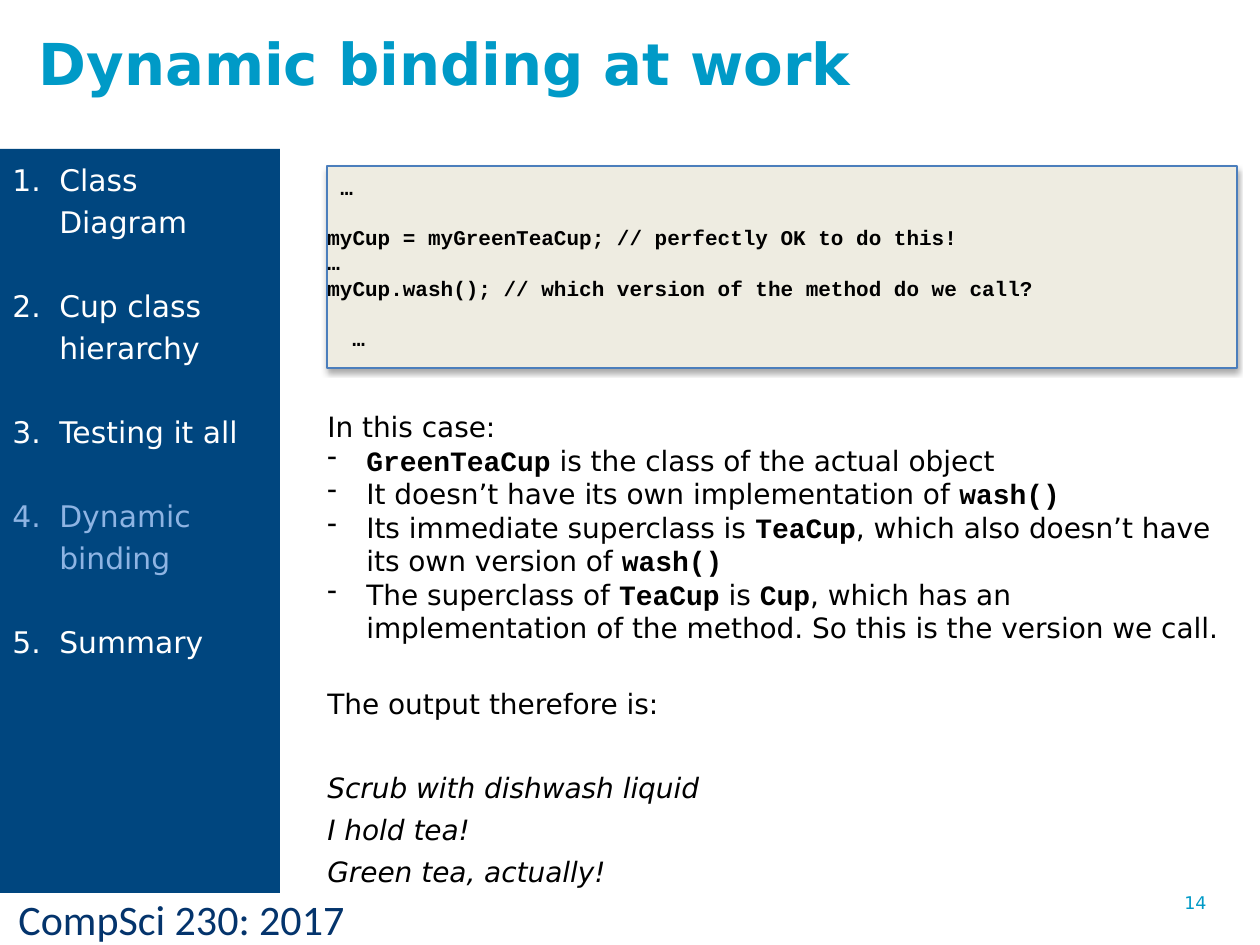
from lxml.etree import SubElement
from pptx import Presentation
from pptx.dml.color import RGBColor
from pptx.enum.shapes import MSO_SHAPE as Shape
from pptx.enum.text import MSO_ANCHOR as Anchor, PP_ALIGN as Align
from pptx.oxml.ns import qn
from pptx.util import Pt

PX = 914400 / 126
SANS, MONO = "DejaVu Sans", "Courier New"
CYAN, NAVY, BLUE, PALE_BLUE = "009AC7", "04346C", "00467F", "8EB4E3"
BLACK, WHITE, CREAM, EDGE = "000000", "FFFFFF", "EEECE1", "4B7EBC"

TOPICS = ["Class Diagram", "Cup class hierarchy", "Testing it all",
          "Dynamic binding", "Summary"]
CURRENT_TOPIC = "Dynamic binding"

# Each code line: text, blank lines above it, indent in characters
CODE = [("…", 0, 1),
        ("myCup = myGreenTeaCup; // perfectly OK to do this!", 1, 0),
        ("…", 0, 0),
        ("myCup.wash(); // which version of the method do we call?", 0, 0),
        ("…", 1, 2)]
# Backticks enclose code words
REASONS = ["`GreenTeaCup` is the class of the actual object",
           "It doesn’t have its own implementation of `wash()`",
           "Its immediate superclass is `TeaCup`, which also doesn’t have "
           "its own version of `wash()`",
           "The superclass of `TeaCup` is `Cup`, which has an implementation "
           "of the method. So this is the version we call."]
OUTPUT = ["Scrub with dishwash liquid", "I hold tea!", "Green tea, actually!"]


def px(*lengths):
    return [round(length * PX) for length in lengths]


def rgb(color):
    return RGBColor.from_string(color)


def set_font(font, size, color, name=SANS, bold=False, italic=False):
    font.size, font.name, font.bold, font.italic = Pt(size), name, bold, italic
    font.color.rgb = rgb(color)


def add_paragraph(frame, leading=None, gap=0):
    """Return the next left-aligned paragraph; leading and gap in points."""
    first = frame.paragraphs[0]
    paragraph = frame.add_paragraph() if first.runs else first
    paragraph.alignment = Align.LEFT
    paragraph.space_before = Pt(gap)
    if leading:
        paragraph.line_spacing = Pt(leading)
    return paragraph


def indent(paragraph, margin, bullet=None, **attributes):
    """Indent by margin px; a bullet hangs in that margin."""
    properties = paragraph._p.get_or_add_pPr()
    width = px(margin)[0]
    properties.set("marL", str(width))
    if bullet:
        properties.set("indent", str(-width))
        mark = SubElement(properties, qn(bullet))
        for key, value in attributes.items():
            mark.set(key, value)


def add_text_box(slide, box):
    frame = slide.shapes.add_textbox(*px(*box)).text_frame
    frame.word_wrap = True
    return frame


def add_panel(slide, box, fill, edge=None):
    panel = slide.shapes.add_shape(Shape.RECTANGLE, *px(*box))
    panel.shadow.inherit = False
    panel.fill.solid()
    panel.fill.fore_color.rgb = rgb(fill)
    if edge:
        panel.line.color.rgb = rgb(edge)
        panel.line.width = Pt(0.75)
    else:
        panel.line.fill.background()
    return panel


def add_label(slide, box, text, size, color, name=SANS):
    label = add_paragraph(add_text_box(slide, box))
    label.text = text
    set_font(label.font, size, color, name)


def add_title(slide, box, text):
    title = slide.shapes.title
    title.left, title.top, title.width, title.height = px(*box)
    frame = title.text_frame
    frame.vertical_anchor = Anchor.TOP
    frame.margin_top = px(10)[0]
    heading = add_paragraph(frame)
    heading.text = text
    set_font(heading.font, 33, CYAN, bold=True)


def add_code_panel(slide, box):
    panel = add_panel(slide, box, CREAM, EDGE)
    # Soft shadow straight below
    effects = panel._element.spPr.find(qn("a:effectLst"))
    shadow = SubElement(effects, qn("a:outerShdw"), blurRad=str(Pt(3.1)),
                        dist=str(Pt(1.8)), dir="5400000", rotWithShape="0")
    tint = SubElement(shadow, qn("a:srgbClr"), val=BLACK)
    SubElement(tint, qn("a:alpha"), val="35000")


def add_body(slide, box):
    frame = add_text_box(slide, box)
    # Code
    code_leading = 14.4
    for text, blanks, characters in CODE:
        line = add_paragraph(frame, code_leading, blanks * code_leading)
        line.text = text
        indent(line, round(characters * 12.6))
        set_font(line.font, 12, BLACK, MONO, bold=True)

    def add_line(text, gap=0, italic=False):
        line = add_paragraph(frame, 24, gap)
        line.text = text
        set_font(line.font, 16, BLACK, italic=italic)

    # Explanation
    add_line("In this case:", gap=2 * code_leading)
    for reason in REASONS:
        item = add_paragraph(frame, 19.2)
        indent(item, 39, "a:buChar", char="-")
        for position, part in enumerate(reason.split("`")):
            if part:
                is_code = position % 2 == 1
                run = item.add_run()
                run.text = part
                set_font(run.font, 16, BLACK, MONO if is_code else SANS, is_code)
    # Program output
    add_line("The output therefore is:", gap=19.2)
    for position, text in enumerate(OUTPUT):
        add_line(text, gap=0 if position else 24, italic=True)


def add_sidebar(slide, box):
    frame = add_panel(slide, box, BLUE).text_frame
    frame.word_wrap = True
    frame.vertical_anchor = Anchor.TOP
    for position, topic in enumerate(TOPICS):
        item = add_paragraph(frame, 24, 24 if position else 0)
        item.text = topic
        indent(item, 47, "a:buAutoNum", type="arabicPeriod")
        set_font(item.font, 17, PALE_BLUE if topic == CURRENT_TOPIC else WHITE)


def main():
    deck = Presentation()
    deck.slide_width, deck.slide_height = px(1260, 945)
    slide = deck.slides.add_slide(deck.slide_layouts[5])
    add_label(slide, (6, 887, 510, 63), "CompSci 230: 2017", 24, NAVY, "Calibri")
    add_code_panel(slide, (327, 166, 910, 202))
    add_label(slide, (1172, 886, 88, 66), "14", 10, CYAN)
    add_title(slide, (26, 18, 898, 98), "Dynamic binding at work")
    add_body(slide, (315, 168, 931, 546))
    add_sidebar(slide, (0, 149, 280, 744))
    deck.save("out.pptx")


if __name__ == "__main__":
    main()
